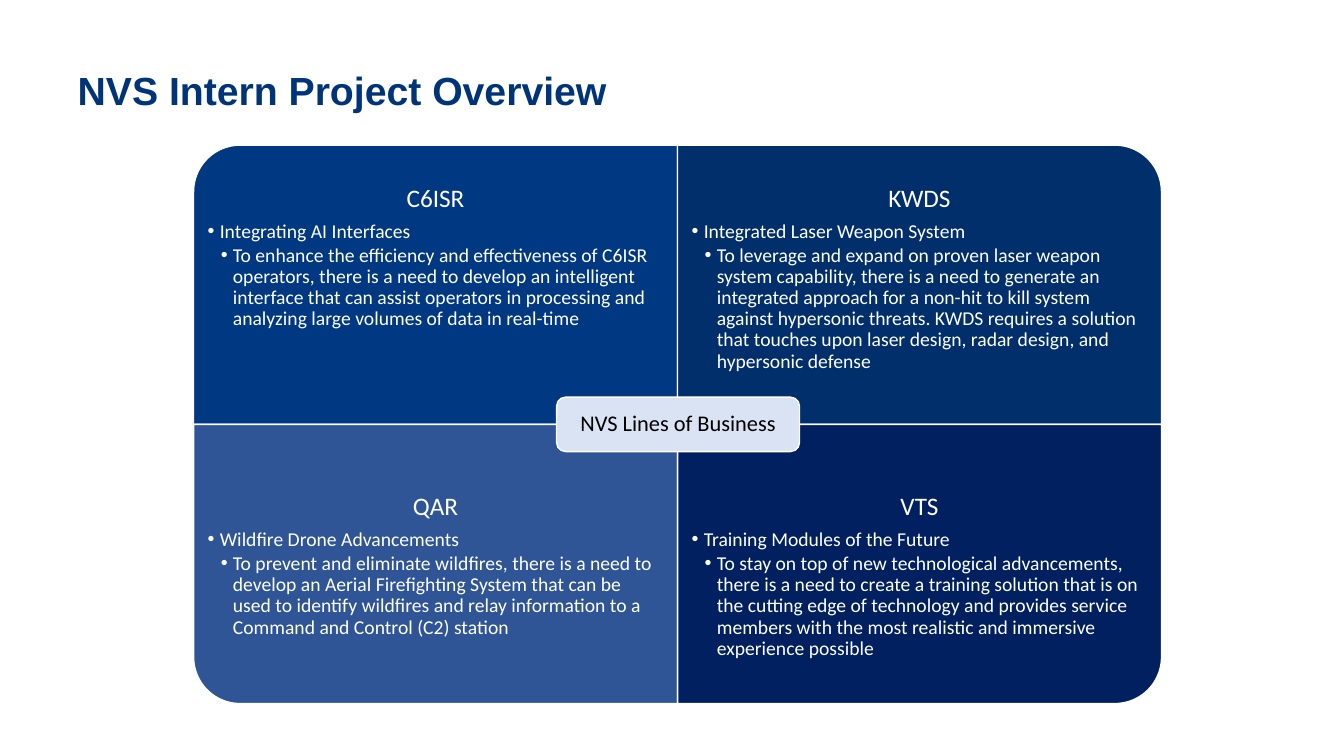
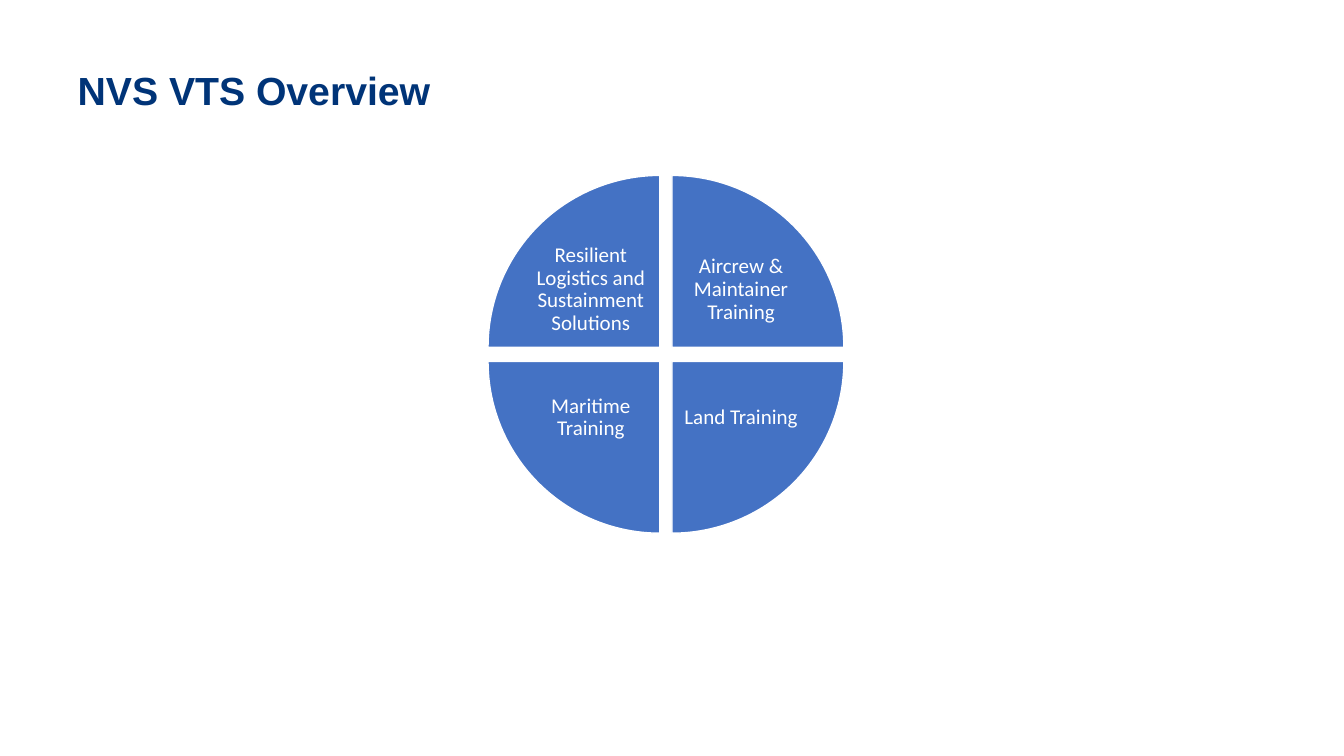
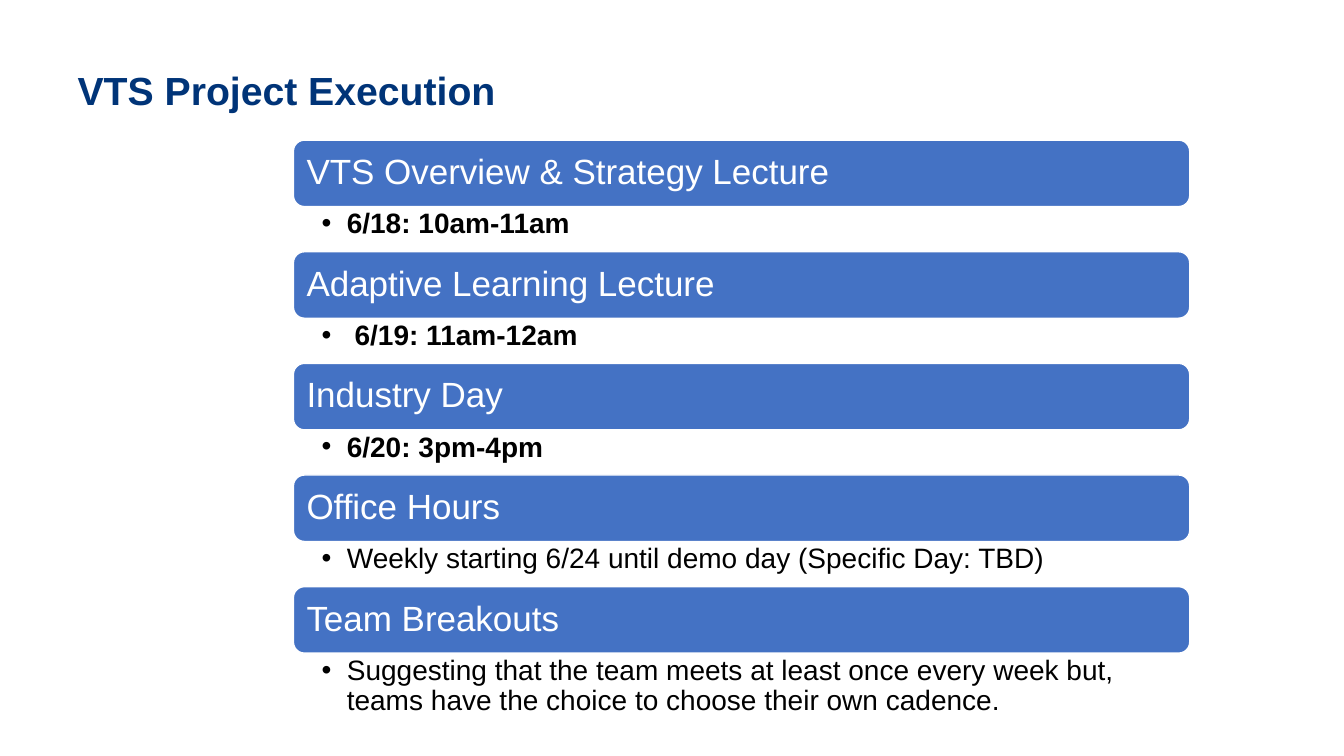
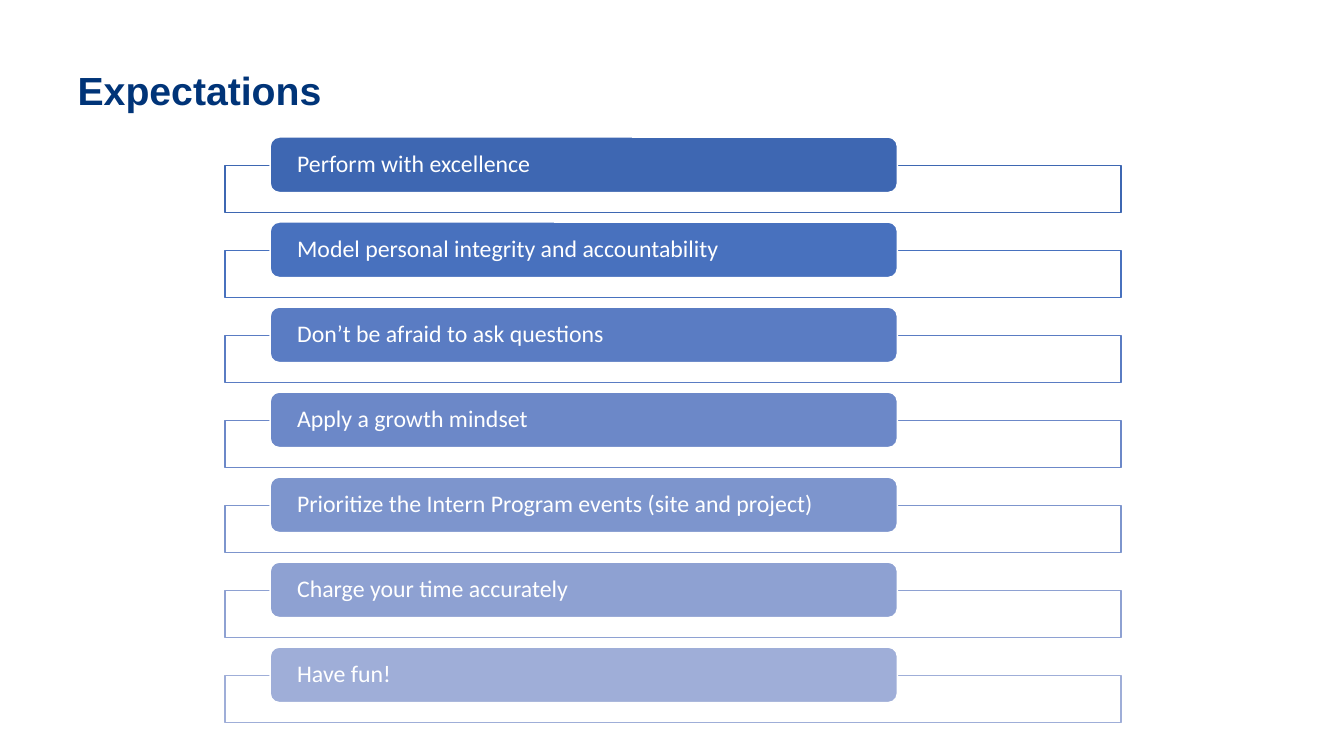
from pptx import Presentation
from pptx import util as u
from pptx.dml.color import RGBColor
from pptx.enum import shapes, text
from pptx.oxml.ns import qn
from lxml import etree

NAVY_TITLE = RGBColor(0x00, 0x34, 0x78)
BLUE = RGBColor(0x44, 0x72, 0xC4)
PALE_BLUE = RGBColor(0xDA, 0xE3, 0xF3)
WHITE = RGBColor(0xFF, 0xFF, 0xFF)
BLACK = RGBColor(0x00, 0x00, 0x00)
QUADRANT_BLUES = [RGBColor.from_string(c) for c in ("003882", "002F6C", "2F5597", "002060")]
FADING_BLUES = [RGBColor.from_string(c) for c in (
    "3E67B2", "4871BE", "5A7CC3", "6C88C8", "7D95CD", "8EA1D2", "9FAED8")]

SHAPE = shapes.MSO_SHAPE
MIDDLE, TOP = text.MSO_ANCHOR.MIDDLE, text.MSO_ANCHOR.TOP
LEFT, CENTER = text.PP_ALIGN.LEFT, text.PP_ALIGN.CENTER


def add_box(page, left, top, width, height, kind=None, fill=None, line=WHITE,
            insets=(0, 0, 0, 0), anchor=MIDDLE):
    """Add a preset shape, or a plain text box when kind is None."""
    place = [u.Inches(v) for v in (left, top, width, height)]
    if kind is None:
        box = page.shapes.add_textbox(*place)
    else:
        box = page.shapes.add_shape(kind, *place)
        box.shadow.inherit = False
        box.fill.solid()
        box.fill.fore_color.rgb = fill
        box.line.color.rgb = line
        box.line.width = u.Pt(1)
    frame = box.text_frame
    frame.word_wrap = True
    frame.vertical_anchor = anchor
    frame.margin_left, frame.margin_top, frame.margin_right, frame.margin_bottom = [
        u.Inches(v) for v in insets]
    return box


def write(frame, words, size, font="Calibri", color=WHITE, bold=False,
          align=LEFT, after=0, indent=None, hang=0.12):
    """Append a paragraph; an indent in inches makes it a bullet."""
    para = frame.paragraphs[0] if not frame.text else frame.add_paragraph()
    if indent is not None:
        props = para._p.get_or_add_pPr()
        props.set("marL", str(u.Inches(indent)))
        props.set("indent", str(-u.Inches(hang)))
        etree.SubElement(props, qn("a:buFont")).set("typeface", "Arial")
        etree.SubElement(props, qn("a:buChar")).set("char", "•")
    para.alignment = align
    para.line_spacing = 0.9
    para.space_after = u.Pt(after)
    span = para.add_run()
    span.text = words
    span.font.size = u.Pt(size)
    span.font.name = font
    span.font.bold = bold
    span.font.color.rgb = color


deck = Presentation()
deck.slide_width, deck.slide_height = u.Inches(13.33), u.Inches(7.5)
layout = deck.slide_layouts[5]
layout_title = layout.placeholders[0]
layout_title.left, layout_title.top = u.Inches(0.67), u.Inches(0.55)
layout_title.width, layout_title.height = u.Inches(12.01), u.Inches(0.75)

pages = []
for heading in ("NVS Intern Project Overview", "NVS VTS Overview",
                "VTS Project Execution", "Expectations"):
    page = deck.slides.add_slide(layout)
    write(page.shapes.title.text_frame, heading, 28, font="Arial", color=NAVY_TITLE, bold=True)
    pages.append(page)
business_page, training_page, schedule_page, expectations_page = pages

# Lines of business: four quadrants around a central label
QUADRANTS = [
    ("C6ISR", "Integrating AI Interfaces",
     "To enhance the efficiency and effectiveness of C6ISR operators, there is a need to "
     "develop an intelligent interface that can assist operators in processing and analyzing "
     "large volumes of data in real-time", 270),
    ("KWDS", "Integrated Laser Weapon System",
     "To leverage and expand on proven laser weapon system capability, there is a need to "
     "generate an integrated approach for a non-hit to kill system against hypersonic threats. "
     "KWDS requires a solution that touches upon laser design, radar design, and hypersonic "
     "defense", 0),
    ("QAR", "Wildfire Drone Advancements",
     "To prevent and eliminate wildfires, there is a need to develop an Aerial Firefighting "
     "System that can be used to identify wildfires and relay information to a Command and "
     "Control (C2) station", 180),
    ("VTS", "Training Modules of the Future",
     "To stay on top of new technological advancements, there is a need to create a training "
     "solution that is on the cutting edge of technology and provides service members with the "
     "most realistic and immersive experience possible", 90),
]
cell_w, cell_h, text_h = 4.8, 2.77, 2.08
for i, (name, project, need, turn) in enumerate(QUADRANTS):
    row, col = divmod(i, 2)
    left, top = 1.92 + col * cell_w, 1.44 + row * cell_h
    w, h = (cell_h, cell_w) if turn % 180 else (cell_w, cell_h)
    panel = add_box(business_page, left + (cell_w - w) / 2, top + (cell_h - h) / 2, w, h,
                    SHAPE.ROUND_1_RECTANGLE, QUADRANT_BLUES[i])
    panel.rotation = turn
    box = add_box(business_page, left, top + row * (cell_h - text_h), cell_w, text_h,
                  insets=(0.14, 0 if row else 0.4, 0.14, 0.14), anchor=TOP)
    write(box.text_frame, name, 18, align=CENTER, after=6)
    write(box.text_frame, project, 14, after=2, indent=0.12)
    write(box.text_frame, need, 14, after=2, indent=0.25)

label = add_box(business_page, 5.52, 3.94, 2.41, 0.54, SHAPE.ROUNDED_RECTANGLE, PALE_BLUE,
                insets=(0.07,) * 4)
write(label.text_frame, "NVS Lines of Business", 16, color=BLACK, align=CENTER)

# Training areas: four quarter pies pushed apart from the centre
QUARTERS = [
    ("Aircrew & Maintainer Training", 1, -1, 270),
    ("Land Training", 1, 1, 0),
    ("Maritime Training", -1, 1, 90),
    ("Resilient Logistics and Sustainment Solutions", -1, -1, 180),
]
ANGLE_UNIT = 0.6  # adjustment value per degree
for area, right, down, start in QUARTERS:
    pie = add_box(training_page, 4.9 + 0.06 * right, 1.81 + 0.07 * down, 3.41, 3.41,
                  SHAPE.PIE, BLUE)
    pie.adjustments[0] = start * ANGLE_UNIT
    pie.adjustments[1] = (start + 90) % 360 * ANGLE_UNIT
    box = add_box(training_page, 6.72 if right > 0 else 5.23, 3.64 if down > 0 else 2.37,
                  1.26, 1.01, insets=(0.02,) * 4)
    write(box.text_frame, area, 15, align=CENTER)

# Schedule: a bar for each event with its time below
EVENTS = [
    ("VTS Overview & Strategy Lecture", "6/18: 10am-11am", True),
    ("Adaptive Learning Lecture", " 6/19: 11am-12am", True),
    ("Industry Day", "6/20: 3pm-4pm", True),
    ("Office Hours", "Weekly starting 6/24 until demo day (Specific Day: TBD)", False),
    ("Team Breakouts", "Suggesting that the team meets at least once every week but, "
     "teams have the choice to choose their own cadence.", False),
]
bar_h = 0.66
for i, (event, timing, fixed) in enumerate(EVENTS):
    top = 1.39 + i * 4.43 / 4
    bar = add_box(schedule_page, 2.91, top, 8.89, bar_h, SHAPE.ROUNDED_RECTANGLE, BLUE,
                  insets=(0.1,) * 4)
    write(bar.text_frame, event, 25, font="Arial")
    detail_h = 0.66 if event == "Team Breakouts" else 0.45
    detail = add_box(schedule_page, 2.91, top + bar_h, 8.89, detail_h,
                     insets=(0.28, 0.03, 0.19, 0.03), anchor=TOP)
    write(detail.text_frame, timing, 20, font="Arial", color=BLACK, bold=fixed,
          indent=0.25, hang=0.25)

# Expectations: fading tabs on outlined strips
EXPECTATIONS = [
    "Perform with excellence",
    "Model personal integrity and accountability",
    "Don’t be afraid to ask questions",
    "Apply a growth mindset",
    "Prioritize the Intern Program events (site and project)",
    "Charge your time accurately",
    "Have fun!",
]
for i, (expectation, shade) in enumerate(zip(EXPECTATIONS, FADING_BLUES)):
    top = 1.36 + i * 5.06 / 6
    add_box(expectations_page, 2.23, top + 0.28, 8.89, 0.47, SHAPE.RECTANGLE, WHITE, line=shade)
    tab = add_box(expectations_page, 2.68, top, 6.22, 0.55, SHAPE.ROUNDED_RECTANGLE, shade,
                  insets=(0.24, 0, 0.24, 0))
    write(tab.text_frame, expectation, 17)

deck.save("out.pptx")
